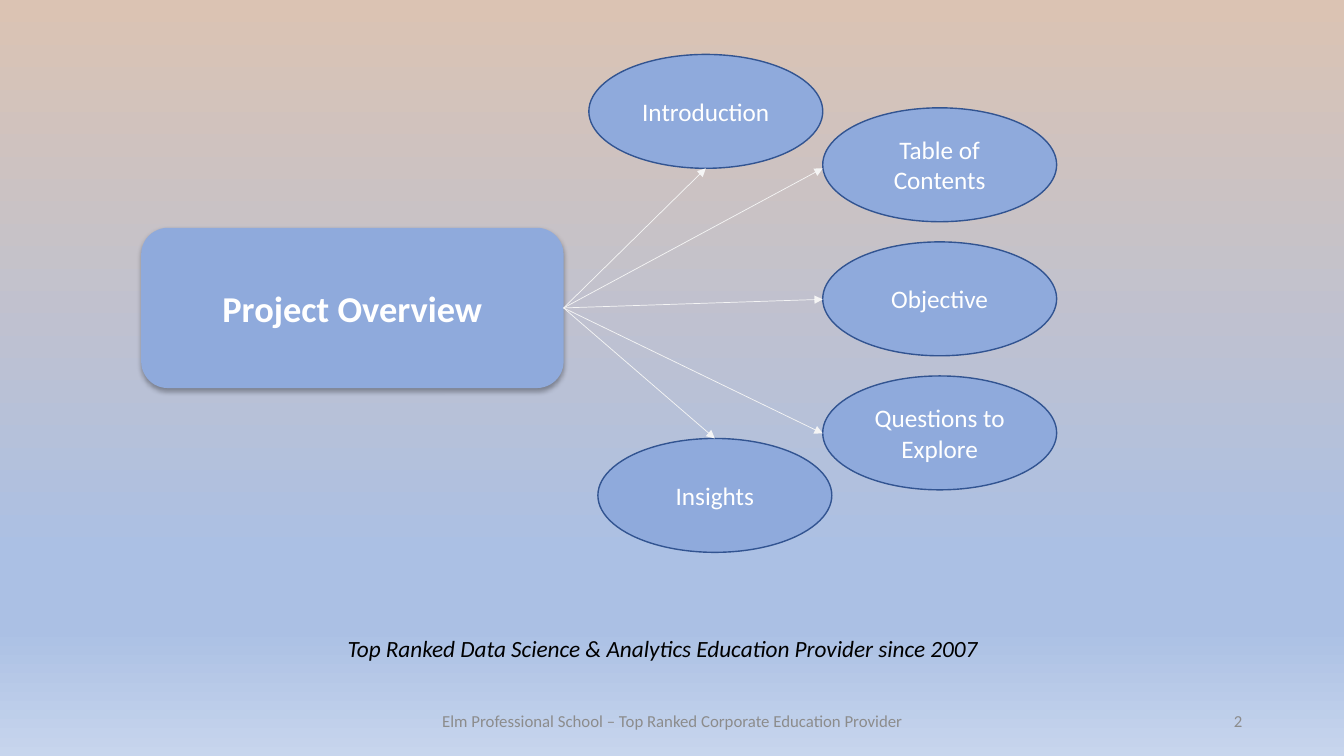
from lxml import etree
from pptx import Presentation
from pptx.dml.color import RGBColor
from pptx.enum.shapes import MSO_CONNECTOR as Link, MSO_SHAPE as Shape
from pptx.enum.text import MSO_ANCHOR as Anchor, PP_ALIGN as Align
from pptx.oxml import parse_xml
from pptx.oxml.ns import nsdecls, qn
from pptx.util import Inches, Pt

FONT = "Calibri"
BLUE = "8FAADC"
EDGE = "325491"
WHITE = "FFFFFF"
PALE = "F5F5F5"
GRAY = "8C8C8C"
BLACK = "000000"
OVAL_W, OVAL_H = 2.32, 1.13
COL, TOP, STEP = 8.16, 1.07, 1.33
STOPS = [(0, "DBC3B3"), (74, "ABC0E4"), (83, "ABC0E4"), (100, "C7D5ED")]


def color(code):
    return RGBColor.from_string(code)


def paint_back(slide):
    fill = slide.background.fill
    fill.gradient()
    fill.gradient_angle = 270
    stops = next(slide.element.iter(qn("a:gsLst")))
    for stop in list(stops):
        stops.remove(stop)
    for pos, code in STOPS:
        stop = etree.SubElement(stops, qn("a:gs"), pos=str(pos * 1000))
        etree.SubElement(stop, qn("a:srgbClr"), val=code)


def write(shape, text, size, code, align=Align.CENTER, bold=False, italic=False):
    frame = shape.text_frame
    frame.word_wrap = True
    frame.vertical_anchor = Anchor.MIDDLE
    para = frame.paragraphs[0]
    para.alignment = align
    run = para.add_run()
    run.text = text
    font = run.font
    font.name, font.size = FONT, Pt(size)
    font.bold, font.italic = bold, italic
    font.color.rgb = color(code)


def add_text(slide, box, text, size, code, **style):
    write(slide.shapes.add_textbox(*map(Inches, box)), text, size, code, **style)


def add_node(slide, kind, box, text, size, bold=False, edge=None):
    node = slide.shapes.add_shape(kind, *map(Inches, box))
    node.shadow.inherit = False
    node.fill.solid()
    node.fill.fore_color.rgb = color(BLUE)
    if edge:
        node.line.color.rgb = color(edge)
        node.line.width = Pt(1)
    else:
        node.line.fill.background()
    write(node, text, size, WHITE, bold=bold)
    return node


def add_shadow(node):
    node.element.spPr.find(qn("a:effectLst")).append(parse_xml(
        f'<a:outerShdw {nsdecls("a")} blurRad="{Pt(3.5)}" dist="{Pt(2.2)}" '
        'dir="5400000" algn="t" rotWithShape="0"><a:srgbClr val="000000">'
        '<a:alpha val="32000"/></a:srgbClr></a:outerShdw>'))


def add_arrow(slide, hub, x, y):
    arrow = slide.shapes.add_connector(
        Link.STRAIGHT, hub.left + hub.width, hub.top + hub.height // 2,
        Inches(x), Inches(y))
    arrow.begin_connect(hub, 3)
    arrow.line.color.rgb = color(PALE)
    arrow.line.width = Pt(0.5)
    etree.SubElement(arrow.line._get_or_add_ln(), qn("a:tailEnd"), type="triangle")
    etree.SubElement(arrow.element.spPr, qn("a:effectLst"))


def main():
    deck = Presentation()
    deck.slide_width, deck.slide_height = Inches(13.33), Inches(7.5)
    slide = deck.slides.add_slide(deck.slide_layouts[6])
    paint_back(slide)
    add_text(slide, (4.26, 6.95, 4.82, 0.4),
             "Elm Professional School – Top Ranked Corporate Education Provider",
             12, GRAY)
    add_text(slide, (1.4, 6.23, 10.34, 0.4),
             "Top Ranked Data Science & Analytics Education Provider since 2007",
             16.6, BLACK, italic=True)
    add_text(slide, (9.42, 6.95, 3, 0.4), "2", 12, GRAY, align=Align.RIGHT)

    hub = add_node(slide, Shape.ROUNDED_RECTANGLE, (1.4, 2.26, 4.19, 1.59),
                   "Project Overview", 26, bold=True)
    add_shadow(hub)
    mid = OVAL_W / 2
    topics = [("Introduction", 5.84, 0.54, 7, 0.54 + OVAL_H)]
    for row, name in enumerate(["Table of Contents", "Objective", "Questions to Explore"]):
        y = TOP + row * STEP
        topics.append((name, COL, y, COL, y + 0.57))
    topics.append(("Insights", 5.93, 4.35, 5.93 + mid, 4.35))
    for name, x, y, _, _ in topics:
        add_node(slide, Shape.OVAL, (x, y, OVAL_W, OVAL_H), name, 18, edge=EDGE)
    for _, _, _, x, y in topics:
        add_arrow(slide, hub, x, 1.67 if y < 1.67 else y)
    deck.save("out.pptx")


if __name__ == "__main__":
    main()
